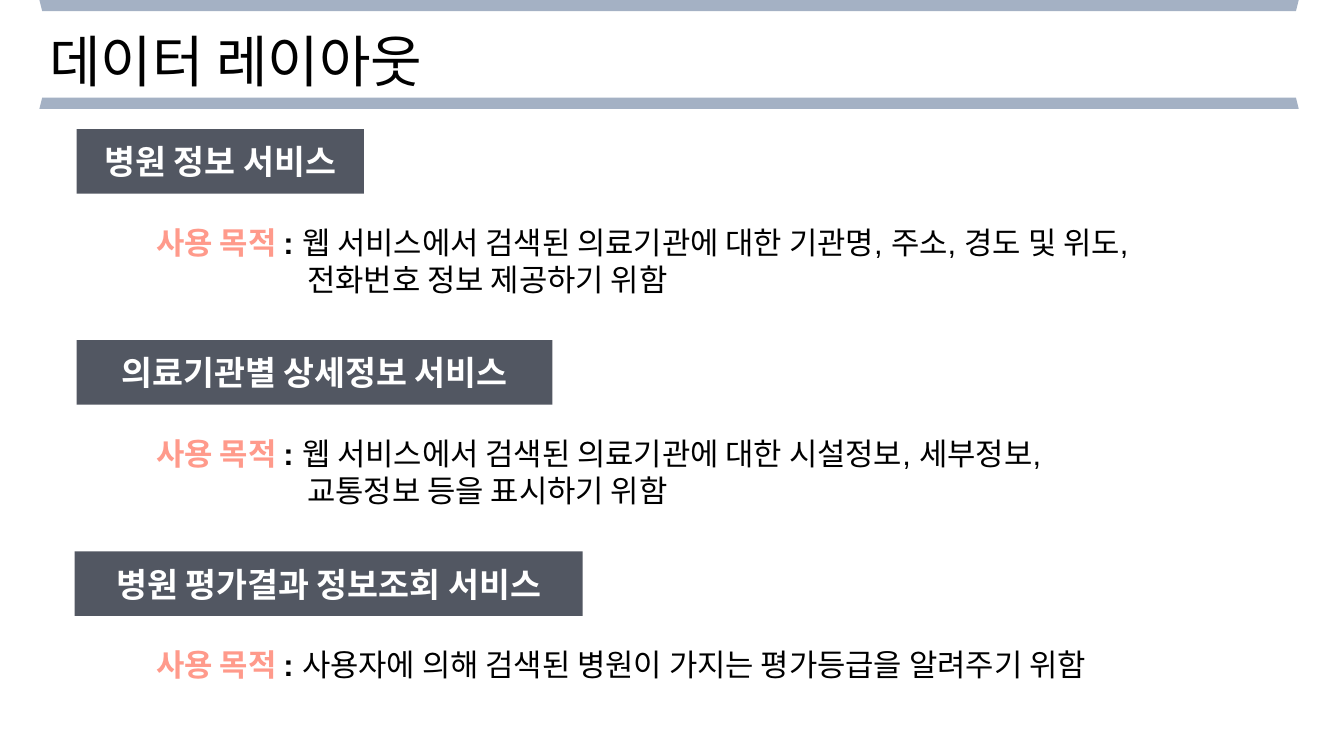
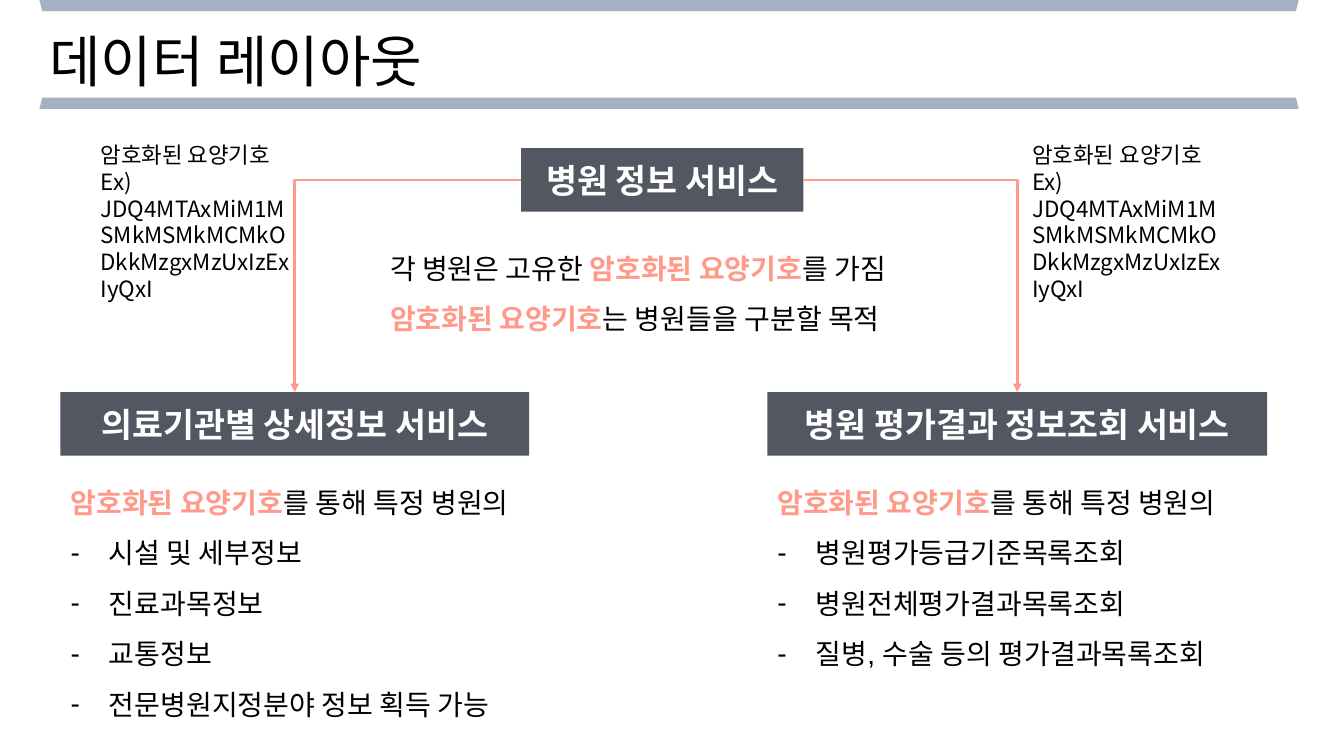
from typing import NamedTuple

from pptx import Presentation
from pptx.dml.color import RGBColor
from pptx.enum.shapes import MSO_CONNECTOR as Connector, MSO_SHAPE as Shape
from pptx.enum.text import MSO_ANCHOR as Anchor, MSO_AUTO_SIZE as AutoSize, PP_ALIGN as Align
from pptx.oxml.ns import qn
from pptx.oxml.xmlchemy import OxmlElement
from pptx.util import Inches, Pt

SLIDE_WIDTH, SLIDE_HEIGHT = Inches(13.33), Inches(7.5)
BAND, TAG, ACCENT, INK, PAPER = "A4B1C4", "404551", "FF9A8B", "000000", "FFFFFF"
TOP, LEFT, RIGHT = 0, 1, 3  # connection sites
HANG = Inches(0.38)

PLAIN = {"name": "Arial", "bold": False, "color": INK}
STRONG = PLAIN | {"bold": True}
KEY = STRONG | {"color": ACCENT}
TITLE = PLAIN | {"size": Pt(40)}
HEADING = STRONG | {"size": Pt(24), "color": PAPER}
NOTE = PLAIN | {"name": "Noto Sans CJK KR", "size": Pt(16)}

HOSPITAL = "병원 정보 서비스"
DETAIL = "의료기관별 상세정보 서비스"
RATING = "병원 평가결과 정보조회 서비스"
CODE = "암호화된 요양기호"


class Box(NamedTuple):
    """Area on a grid of 100 columns by 100 rows."""
    left: float
    top: float
    width: float
    height: float

    def inner(self, left=0, top=0, width=None, height=None):
        """Area offset from this one's corner; it keeps this size by default."""
        return Box(self.left + left, self.top + top,
                   self.width if width is None else width,
                   self.height if height is None else height)

    def lengths(self):
        column, row = SLIDE_WIDTH / 100, SLIDE_HEIGHT / 100
        return (int(self.left * column), int(self.top * row),
                int(self.width * column), int(self.height * row))


def rgb(color):
    return RGBColor.from_string(color)


def assign(target, values):
    for name, value in values.items():
        setattr(target, name, value)


def add_spans(para, spans, size=None):
    for text, style in spans:
        span = para.add_run()
        span.text = text
        style = ({"size": size} if size else {}) | style
        span.font.color.rgb = rgb(style["color"])
        assign(span.font, {key: value for key, value in style.items() if key != "color"})


def write(shape, lines, size=None, align=Align.LEFT, anchor=Anchor.TOP, spacing=1.0):
    """Fill a shape with one paragraph for each list of spans."""
    frame = shape.text_frame
    assign(frame, {"word_wrap": True, "auto_size": AutoSize.NONE, "vertical_anchor": anchor})
    for index, spans in enumerate(lines):
        para = frame.add_paragraph() if index else frame.paragraphs[0]
        assign(para, {"alignment": align, "line_spacing": spacing, "space_before": Pt(0)})
        add_spans(para, spans, size)
    return frame.paragraphs


def indent(para, margin, hang=0, bullet=None):
    props = para._p.get_or_add_pPr()
    props.set("marL", str(margin))
    props.set("indent", str(-hang))
    mark = OxmlElement("a:buChar" if bullet else "a:buNone")
    if bullet:
        mark.set("char", bullet)
    props.append(mark)


def add_text(page, box, lines, **options):
    return write(page.shapes.add_textbox(*box.lengths()), lines, **options)


def add_filled(page, kind, box, color):
    shape = page.shapes.add_shape(kind, *box.lengths())
    shape.shadow.inherit = False
    shape.fill.solid()
    shape.fill.fore_color.rgb = rgb(color)
    shape.line.fill.background()
    return shape


def add_tag(page, box, heading):
    """Dark, slightly transparent service label."""
    tag = add_filled(page, Shape.RECTANGLE, box, TAG)
    alpha = OxmlElement("a:alpha")
    alpha.set("val", "90000")
    tag._element.spPr.find(".//" + qn("a:srgbClr")).append(alpha)
    write(tag, [[(heading, HEADING)]], align=Align.CENTER, anchor=Anchor.MIDDLE)
    return tag


def place(shape, box):
    assign(shape, dict(zip(("left", "top", "width", "height"), box.lengths())))


def add_page(deck, layout, title, box=Box(2.93, 0, 93.7, 14.4)):
    """New slide with its title between two bands."""
    page = deck.slides.add_slide(deck.slide_layouts.get_by_name(layout))
    for top, turn in ((0, 180), (12.93, 0)):
        add_filled(page, Shape.TRAPEZOID, box.inner(top=top, height=1.47), BAND).rotation = turn
    place(page.shapes.title, box.inner(top=2.8, width=32.5, height=10.27))
    write(page.shapes.title, [[(title, TITLE)]])
    return page


def add_purpose(page, box, heading, tag_width, first, *rest):
    """Service label with its purpose below; further lines align under the first."""
    lines = [[("사용 목적 ", KEY), (": ", STRONG), (first, PLAIN)]]
    lines += [[(line, PLAIN)] for line in rest]
    add_tag(page, box.inner(width=tag_width, height=8.53), heading)
    paras = add_text(page, Box(10.88, box.top + 11.87, 82.8, box.height - 11.87),
                     lines, size=Pt(22))
    for para in paras[1:]:
        indent(para, Inches(1.5))


def add_arrow(page, start, side, end):
    """Elbow arrow from a side of one label to the top of another."""
    arrow = page.shapes.add_connector(Connector.ELBOW, 0, 0, 0, 0)
    arrow.begin_connect(start, side)
    arrow.end_connect(end, TOP)
    arrow.line.color.rgb = rgb(ACCENT)
    arrow.line.width = Pt(2)
    props = arrow._element.spPr
    props.find(qn("a:prstGeom")).set("prst", "bentConnector2")
    head = OxmlElement("a:tailEnd")
    head.set("type", "triangle")
    props.find(qn("a:ln")).append(head)
    props.append(OxmlElement("a:effectLst"))


def add_branch(page, box, root, side, heading, holder, items):
    """Label reached from the root, with a bulleted list below it."""
    tag = add_tag(page, box.inner(height=8.4), heading)
    add_arrow(page, root, side, tag)
    place(holder, box.inner(top=9.46, width=38.1, height=box.height - 9.46))
    lines = [[(CODE, KEY), ("를 통해 특정 병원의", PLAIN)]]
    lines += [[(item, PLAIN)] for item in items]
    intro, *bullets = write(holder, lines, size=Pt(20), spacing=1.5)
    indent(intro, 0)
    for para in bullets:
        indent(para, HANG, HANG, "-")


def build_purposes(deck):
    page = add_page(deck, "Title Only", "데이터 레이아웃")
    sections = (
        (5.7, HOSPITAL, 21.38,
         "웹 서비스에서 검색된 의료기관에 대한 기관명, 주소, 경도 및 위도,",
         "전화번호 정보 제공하기 위함"),
        (5.7, DETAIL, 35.4,
         "웹 서비스에서 검색된 의료기관에 대한 시설정보, 세부정보,",
         "교통정보 등을 표시하기 위함"),
        (5.55, RATING, 37.8,
         "사용자에 의해 검색된 병원이 가지는 평가등급을 알려주기 위함"),
    )
    for index, (left, *content) in enumerate(sections):
        add_purpose(page, Box(left, 17.07 + index * 27.93, 88, 23), *content)


def build_relations(deck):
    page = add_page(deck, "Two Content", "데이터 레이아웃")
    root = add_tag(page, Box(38.78, 19.6, 21, 8.4), HOSPITAL)
    branches = (
        (Box(4.5, 51.87, 34.88, 44.53), LEFT, DETAIL, 6.75,
         ("시설 및 세부정보", "진료과목정보", "교통정보", "전문병원지정분야 정보 획득 가능")),
        (Box(57.09, 51.87, 37.2, 37.73), RIGHT, RATING, 76.07,
         ("병원평가등급기준목록조회", "병원전체평가결과목록조회", "질병, 수술 등의 평가결과목록조회")),
    )
    holders = list(page.placeholders)[1:]
    for (box, side, heading, note_left, items), holder in zip(branches, holders):
        add_branch(page, box, root, side, heading, holder, items)
        add_text(page, Box(note_left, 18, 15.75, 22.93),
                 [[(CODE + "Ex) JDQ4MTAxMiM1MSMkMSMkMCMkODkkMzgxMzUxIzExIyQxI", NOTE)]])
    add_text(page, Box(28.28, 30.4, 43.06, 14),
             [[("각 병원은 고유한 ", PLAIN), (CODE, KEY), ("를 가짐", PLAIN)],
              [(CODE, KEY), ("는 병원들을 구분할 목적", PLAIN)]],
             size=Pt(20), spacing=1.5)


def main():
    deck = Presentation()
    assign(deck, {"slide_width": SLIDE_WIDTH, "slide_height": SLIDE_HEIGHT})
    build_purposes(deck)
    build_relations(deck)
    deck.save("out.pptx")


if __name__ == "__main__":
    main()
